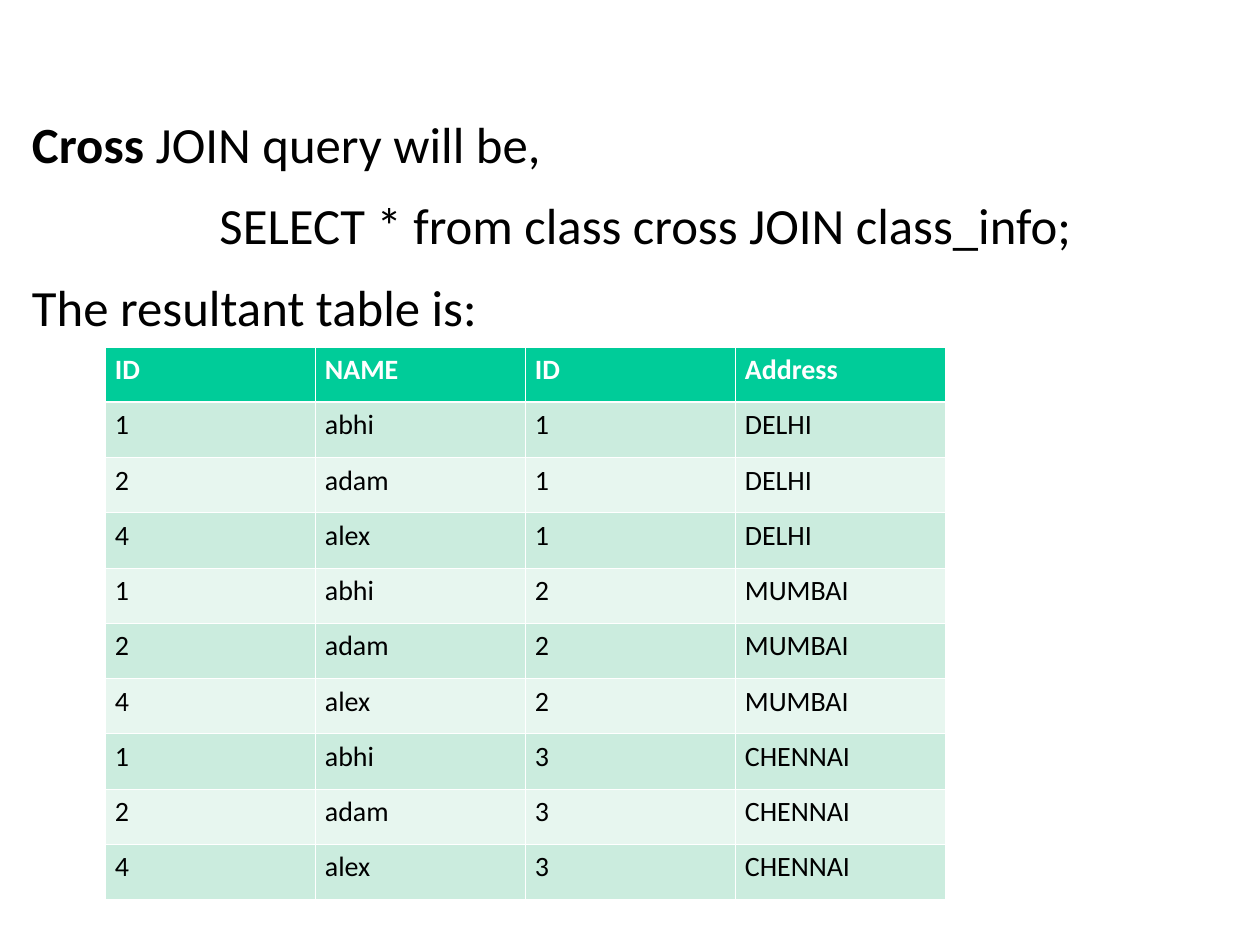
from itertools import product

from lxml import etree
from pptx import Presentation
from pptx import util as u
from pptx.dml.color import RGBColor
from pptx.enum import text
from pptx.oxml.ns import qn

BLACK = RGBColor(0x00, 0x00, 0x00)
WHITE = RGBColor(0xFF, 0xFF, 0xFF)
RED = RGBColor(0xFF, 0x00, 0x00)
GREEN = RGBColor(0x00, 0xCC, 0x99)
BANDS = (RGBColor(0xE7, 0xF6, 0xEF), RGBColor(0xCB, 0xEC, 0xDE))

FONT = "Calibri"
HEADER = ("ID", "NAME", "ID", "Address")
PEOPLE = (("1", "abhi"), ("2", "adam"), ("4", "alex"))
ADDRESSES = (("1", "DELHI"), ("2", "MUMBAI"), ("3", "CHENNAI"))


def px(length):
    """Turn px, 126 to the inch, into EMU."""
    return u.Emu(round(length * 914400 / 126))


def style(run, size, color, bold=False):
    run.font.name = FONT
    run.font.size = u.Pt(size)
    run.font.color.rgb = color
    run.font.bold = bold


def set_bullet(paragraph, indent=0):
    """Give a hanging bullet, or none when there is no indent."""
    props = paragraph._p.get_or_add_pPr()
    props.set("marL", str(px(indent)))
    props.set("indent", str(-px(indent)))
    if indent:
        etree.SubElement(props, qn("a:buFont"), typeface="Arial")
        etree.SubElement(props, qn("a:buChar"), char="•")
    else:
        etree.SubElement(props, qn("a:buNone"))


def set_borders(cell, widths):
    """Draw white borders, with widths in points by side."""
    props = cell._tc.get_or_add_tcPr()
    for side in "LRTB":
        line = etree.SubElement(props, qn("a:ln" + side), w=str(u.Pt(widths[side])))
        fill = etree.SubElement(line, qn("a:solidFill"))
        etree.SubElement(fill, qn("a:srgbClr"), val=str(WHITE))


def write_query(body, left, top, width, height):
    body.left, body.top, body.width, body.height = map(px, (left, top, width, height))
    frame = body.text_frame
    frame.auto_size = text.MSO_AUTO_SIZE.NONE
    frame.vertical_anchor = text.MSO_ANCHOR.TOP
    frame.margin_left = frame.margin_right = frame.margin_bottom = 0
    frame.margin_top = px(21)

    frame.text = "Cross\nSELECT * from class cross JOIN class_info;\nThe resultant table is:"
    intro, query, result = frame.paragraphs
    intro.add_run().text = " JOIN query will be,"
    query.alignment = text.PP_ALIGN.CENTER

    for paragraph in frame.paragraphs:
        paragraph.line_spacing = 0.97
        paragraph.space_before = u.Pt(0)
        paragraph.space_after = u.Pt(12.9)
        set_bullet(paragraph, 30 if paragraph is result else 0)
        for run in paragraph.runs:
            style(run, 29, RED if paragraph is query else BLACK)
    intro.runs[0].font.bold = True


def add_join_table(slide, left, top, width, height):
    # Every address is paired with every person
    pairs = [person + address for address, person in product(ADDRESSES, PEOPLE)]
    rows = [HEADER] + pairs
    table = slide.shapes.add_table(
        len(rows), len(HEADER), px(left), px(top), px(width), px(height)).table

    for r, row in enumerate(rows):
        is_header = r == 0
        widths = dict.fromkeys("LRTB", 0.45)
        if r < 2:
            widths["B" if is_header else "T"] = 1.47
        for c, value in enumerate(row):
            cell = table.cell(r, c)
            cell.margin_left = cell.margin_right = px(10)
            cell.margin_top = cell.margin_bottom = px(6)
            set_borders(cell, widths)
            cell.fill.solid()
            cell.fill.fore_color.rgb = GREEN if is_header else BANDS[r % 2]
            cell.text_frame.text = value
            style(cell.text_frame.paragraphs[0].runs[0], 16,
                  WHITE if is_header else BLACK, is_header)


def main():
    deck = Presentation()
    deck.slide_width, deck.slide_height = px(1260), px(945)
    slide = deck.slides.add_slide(deck.slide_layouts[1])

    # The slide has no title
    title = slide.shapes.title
    title.element.getparent().remove(title.element)

    write_query(slide.placeholders[1], 32, 95, 1228, 733)
    add_join_table(slide, 105, 347, 840, 553)
    deck.save("out.pptx")


if __name__ == "__main__":
    main()
